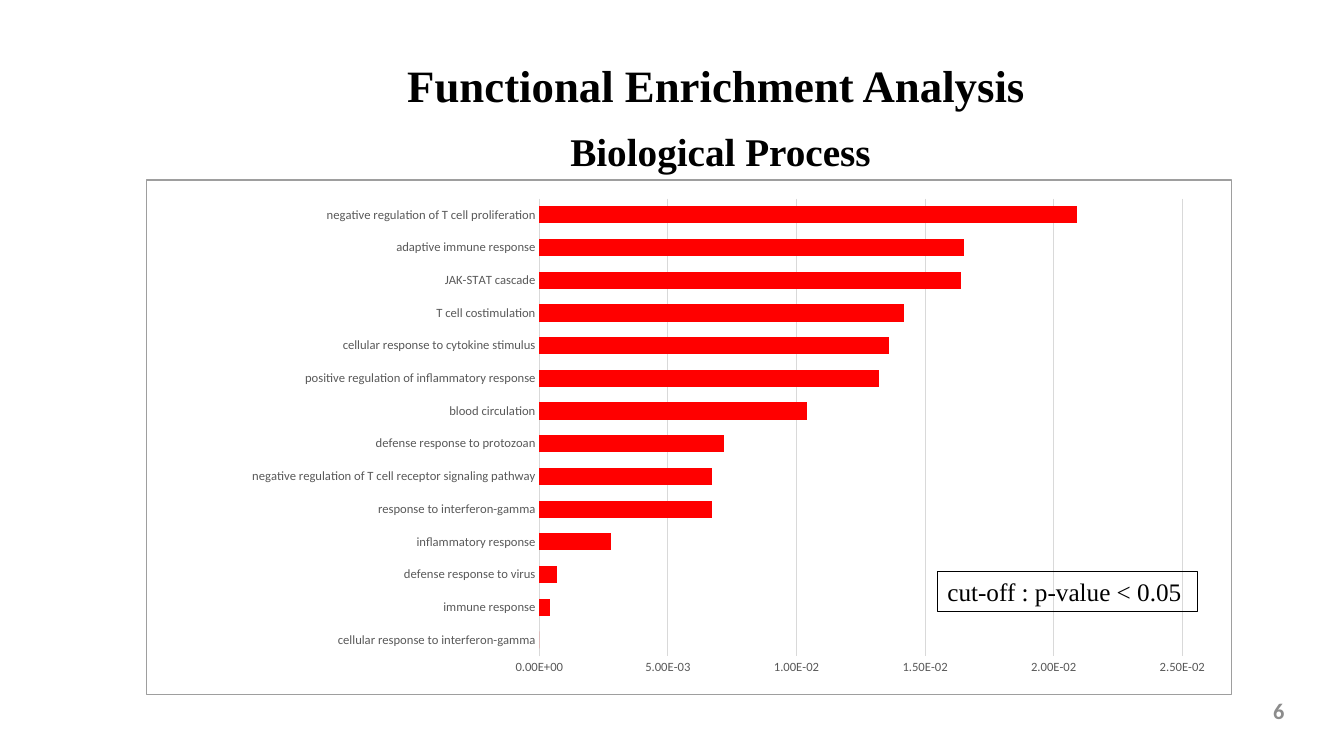
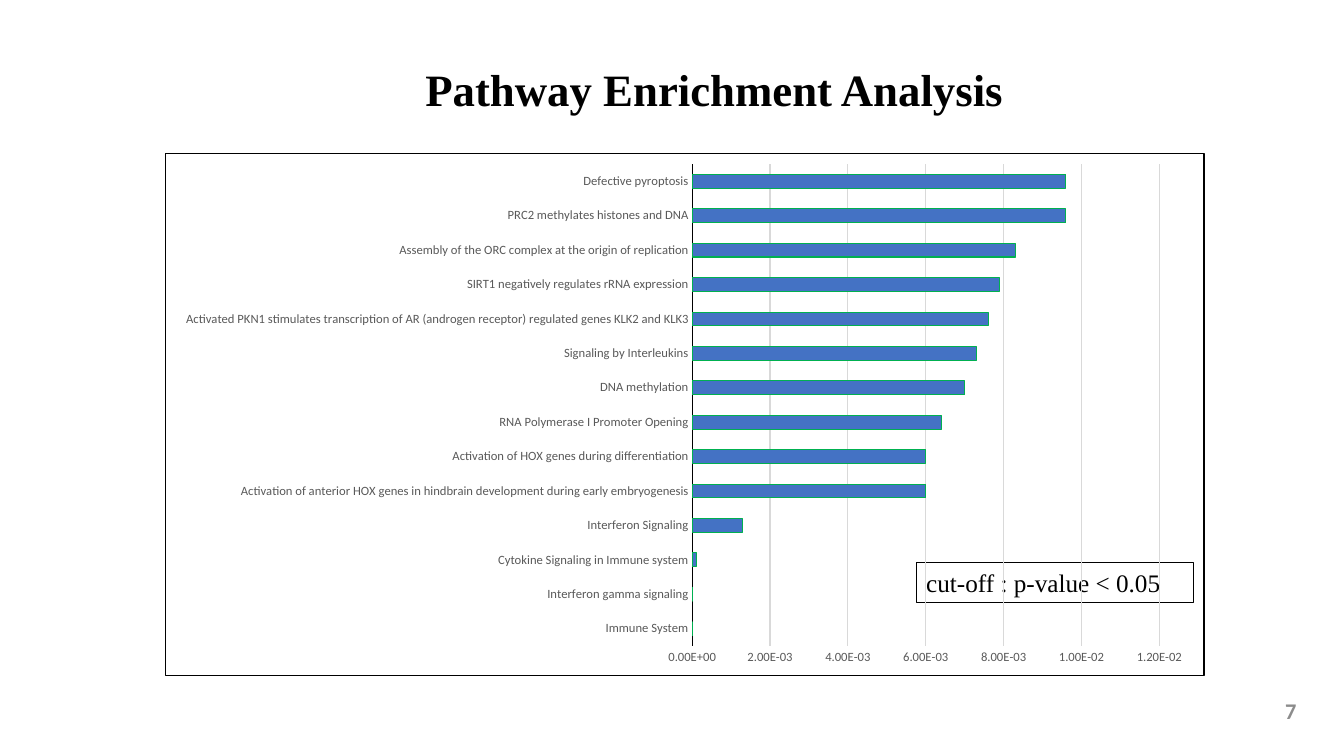
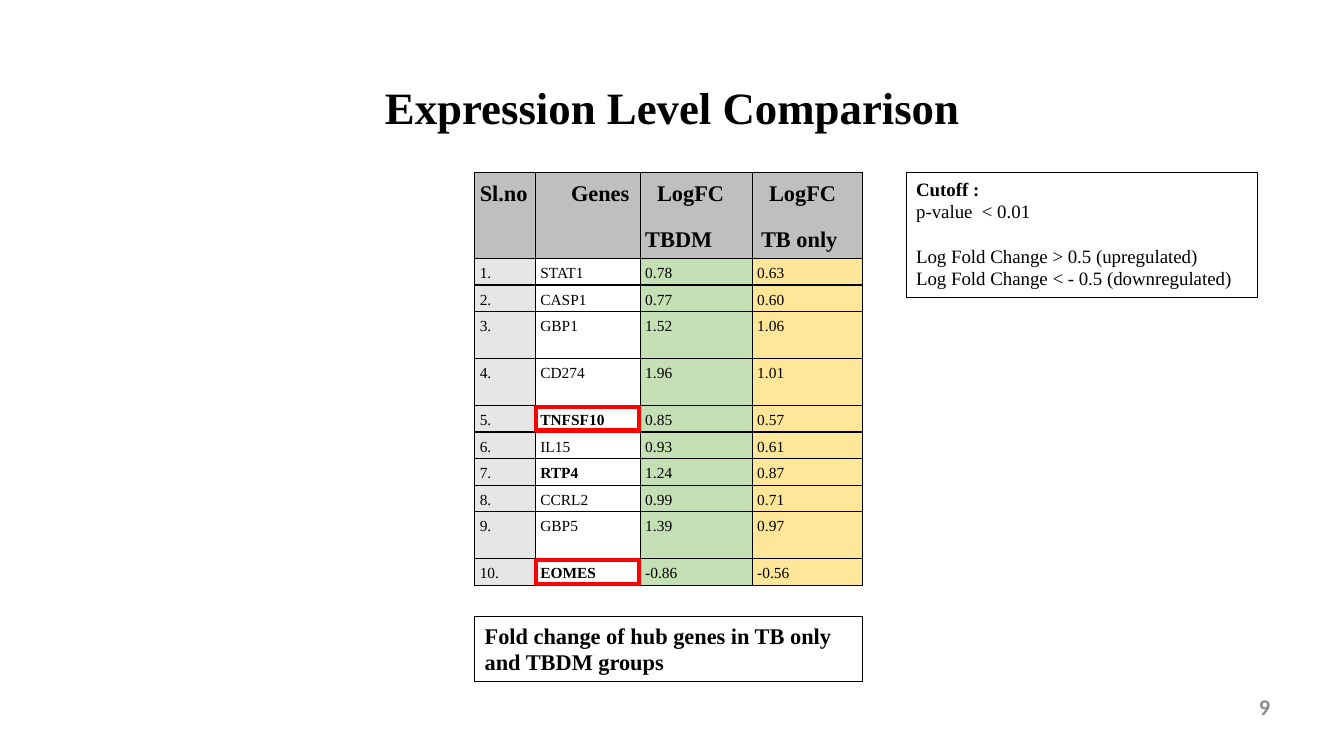
"""Build three slides on enrichment and expression results."""
import pptx
import pptx.chart.data
import pptx.dml.color
import pptx.enum.chart
import pptx.enum.shapes
import pptx.enum.text
import pptx.oxml
import pptx.oxml.ns
import pptx.util

Pt = pptx.util.Pt
ALIGN = pptx.enum.text.PP_ALIGN
ANCHOR = pptx.enum.text.MSO_ANCHOR
KIND = pptx.enum.chart.XL_CHART_TYPE
HUES = {
    "ink": "000000", "paper": "FFFFFF", "page": "8C8C8C", "label": "595959",
    "grid": "D9D9D9", "edge": "9E9E9E", "red": "FF0000", "blue": "4472C4",
    "leaf": "00B050", "head": "BFBFBF", "index": "E7E6E6",
    "green": "C5E0B4", "gold": "FFE699",
}
SERIF, SANS = "Times New Roman", "Calibri"
CUTOFF = "cut-off : p-value < 0.05"

PROCESS = [
    ("cellular response to interferon-gamma", 0),
    ("immune response", 0.0004),
    ("defense response to virus", 0.0007),
    ("inflammatory response", 0.0028),
    ("response to interferon-gamma", 0.0067),
    ("negative regulation of T cell receptor signaling pathway", 0.0067),
    ("defense response to protozoan", 0.0072),
    ("blood circulation", 0.0104),
    ("positive regulation of inflammatory response", 0.0132),
    ("cellular response to cytokine stimulus", 0.0136),
    ("T cell costimulation", 0.0142),
    ("JAK-STAT cascade", 0.0164),
    ("adaptive immune response", 0.0165),
    ("negative regulation of T cell proliferation", 0.0209),
]
PATHWAY = [
    ("Immune System", 0),
    ("Interferon gamma signaling", 0),
    ("Cytokine Signaling in Immune system", 0.0001),
    ("Interferon Signaling", 0.0013),
    ("Activation of anterior HOX genes in hindbrain development during early embryogenesis", 0.006),
    ("Activation of HOX genes during differentiation", 0.006),
    ("RNA Polymerase I Promoter Opening", 0.0064),
    ("DNA methylation", 0.007),
    ("Signaling by Interleukins", 0.0073),
    ("Activated PKN1 stimulates transcription of AR (androgen receptor) regulated genes KLK2 and KLK3", 0.0076),
    ("SIRT1 negatively regulates rRNA expression", 0.0079),
    ("Assembly of the ORC complex at the origin of replication", 0.0083),
    ("PRC2 methylates histones and DNA", 0.0096),
    ("Defective pyroptosis", 0.0096),
]
HEADS = [
    [("Sl.no", 0)],
    [("Genes", 22)],
    [("LogFC", 8.5), ("TBDM", 0)],
    [("LogFC", 8.5), ("TB only", 2.75)],
]
GENES = [
    ("STAT1", "0.78", "0.63"), ("CASP1", "0.77", "0.60"),
    ("GBP1", "1.52", "1.06"), ("CD274", "1.96", "1.01"),
    ("TNFSF10", "0.85", "0.57"), ("IL15", "0.93", "0.61"),
    ("RTP4", "1.24", "0.87"), ("CCRL2", "0.99", "0.71"),
    ("GBP5", "1.39", "0.97"), ("EOMES", "-0.86", "-0.56"),
]
BOLD = {"TNFSF10", "RTP4", "EOMES"}
BOXED = {"TNFSF10", "EOMES"}
TALL = {"GBP1", "CD274", "GBP5"}
RULES = [
    ("Cutoff :", True, 0),
    ("p-value  < 0.01", False, 0),
    ("Log Fold Change > 0.5 (upregulated)", False, 15.5),
    ("Log Fold Change < - 0.5 (downregulated)", False, 0),
]


def tint(name):
    return pptx.dml.color.RGBColor.from_string(HUES[name])


def style(font, size, hue="ink", bold=False, face=SERIF):
    font.size, font.bold, font.name = Pt(size), bold, face
    font.color.rgb = tint(hue)


def write(para, text, size, **look):
    run = para.add_run()
    run.text = text
    style(run.font, size, **look)


def stroke(line, hue, width=0.75):
    line.color.rgb = tint(hue)
    line.width = Pt(width)


def start(deck, title, area, page, spot):
    slide = deck.slides.add_slide(deck.slide_layouts[5])
    head = slide.shapes.title
    head.left, head.top, head.width, head.height = map(Pt, area)
    frame = head.text_frame
    frame.auto_size = pptx.enum.text.MSO_AUTO_SIZE.NONE
    frame.vertical_anchor = ANCHOR.MIDDLE
    para = frame.paragraphs[0]
    para.alignment = ALIGN.LEFT
    write(para, title, 32, bold=True)
    para = note(slide, spot, ANCHOR.MIDDLE).paragraphs[0]
    para.alignment = ALIGN.RIGHT
    write(para, page, 16, hue="page", bold=True, face=SANS)
    return slide


def note(slide, area, anchor=ANCHOR.TOP):
    frame = slide.shapes.add_textbox(*map(Pt, area)).text_frame
    frame.word_wrap = True
    frame.vertical_anchor = anchor
    return frame


def panel(slide, area, hue="ink", width=0.75):
    shape = slide.shapes.add_shape(
        pptx.enum.shapes.MSO_SHAPE.RECTANGLE, *map(Pt, area))
    shape.shadow.inherit = False
    shape.fill.background()
    stroke(shape.line, hue, width)
    frame = shape.text_frame
    frame.word_wrap = True
    frame.vertical_anchor = ANCHOR.TOP
    frame.paragraphs[0].alignment = ALIGN.LEFT
    return frame


def frame_chart(chart, hue, inner):
    space = pptx.oxml.ns.nsdecls("c", "a")
    border = pptx.oxml.parse_xml(
        f'<c:spPr {space}><a:noFill/><a:ln w="{Pt(0.75)}"><a:solidFill>'
        f'<a:srgbClr val="{HUES[hue]}"/></a:solidFill></a:ln></c:spPr>')
    chart.element.xpath("c:chart")[0].addnext(border)
    area = chart.element.xpath("c:chart/c:plotArea")[0]
    for old in area.xpath("c:layout"):
        area.remove(old)
    parts = "".join(f'<c:{tag}Mode val="edge"/>' for tag in "xy")
    parts += "".join(f'<c:{tag} val="{val}"/>' for tag, val in zip("xywh", inner))
    area.insert(0, pptx.oxml.parse_xml(
        f'<c:layout {space}><c:manualLayout><c:layoutTarget val="inner"/>'
        f'{parts}</c:manualLayout></c:layout>'))


def bars(slide, area, kind, rows, top, step, gap, lap, fill, axis, edge, inner):
    data = pptx.chart.data.CategoryChartData()
    data.categories = [name for name, _ in rows]
    data.add_series("Series 1", [val for _, val in rows])
    chart = slide.shapes.add_chart(kind, *map(Pt, area), data).chart
    chart.has_title = chart.has_legend = False
    style(chart.font, 10, face=SANS)
    plot = chart.plots[0]
    plot.gap_width, plot.overlap, plot.vary_by_categories = gap, lap, False
    series = plot.series[0]
    series.format.fill.solid()
    series.format.fill.fore_color.rgb = tint(fill)
    cats, vals = chart.category_axis, chart.value_axis
    for each in (cats, vals):
        each.major_tick_mark = pptx.enum.chart.XL_TICK_MARK.NONE
        style(each.tick_labels.font, 9, hue="label", face=SANS)
    stroke(cats.format.line, axis)
    vals.format.line.fill.background()
    vals.minimum_scale, vals.maximum_scale, vals.major_unit = 0, top, step
    vals.tick_labels.number_format = "0.00E+00"
    vals.tick_labels.number_format_is_linked = False
    stroke(vals.major_gridlines.format.line, "grid")
    frame_chart(chart, edge, inner)
    return series


def cell_style(cell, hue):
    cell.fill.solid()
    cell.fill.fore_color.rgb = tint(hue)
    cell.margin_left = cell.margin_right = Pt(3.6)
    cell.margin_top = cell.margin_bottom = 0
    props = cell._tc.get_or_add_tcPr()
    for spot, side in enumerate("LRTB"):
        props.insert(spot, pptx.oxml.parse_xml(
            f'<a:ln{side} {pptx.oxml.ns.nsdecls("a")} w="{Pt(1)}"><a:solidFill>'
            f'<a:srgbClr val="{HUES["ink"]}"/></a:solidFill></a:ln{side}>'))


def cell_text(cell, lines, size, bold):
    frame = cell.text_frame
    for spot, (text, indent) in enumerate(lines):
        para = frame.add_paragraph() if spot else frame.paragraphs[0]
        para.line_spacing, para.space_after = 1.38, Pt(8)
        if indent:
            para._p.get_or_add_pPr().set("marL", str(Pt(indent)))
        write(para, text, size, bold=bold)


def gene_table(slide, left, top):
    wide = [43.2, 75, 80, 79]
    high = [61.5] + [33.5 if row[0] in TALL else 19 for row in GENES]
    table = slide.shapes.add_table(
        len(high), len(wide), *map(Pt, (left, top, sum(wide), sum(high)))).table
    table.first_row = table.horz_banding = False
    for col, width in zip(table.columns, wide):
        col.width = Pt(width)
    for row, height in zip(table.rows, high):
        row.height = Pt(height)
    for col, lines in enumerate(HEADS):
        cell_style(table.cell(0, col), "head")
        cell_text(table.cell(0, col), lines, 16, True)
    for row, gene in enumerate(GENES, 1):
        fills = ("index", "paper", "green", "gold")
        for col, (text, hue) in enumerate(zip((f"{row}.", *gene), fills)):
            cell_style(table.cell(row, col), hue)
            cell_text(table.cell(row, col), [(text, 0)], 11, text in BOLD)
        if gene[0] in BOXED:
            panel(slide, (left + wide[0] + 0.75, top + sum(high[:row]) + 1,
                          wide[1] - 1.5, high[row] - 2), "red", 3)


def main():
    deck = pptx.Presentation()
    deck.slide_width, deck.slide_height = Pt(960), Pt(540)

    slide = start(deck, "Functional Enrichment Analysis", (283.7, 37.7, 468, 46),
                  "6", (762.5, 496.8, 162, 21.6))
    bars(slide, (104.4, 128.2, 775.4, 368.6), KIND.BAR_CLUSTERED, PROCESS,
         0.025, 0.005, 90, 13, "red", "grid", "edge", (0.362, 0.036, 0.593, 0.889))
    write(panel(slide, (669.6, 408.2, 185.8, 28.8)).paragraphs[0], CUTOFF, 18)
    write(note(slide, (400.3, 87.4, 247.7, 41)).paragraphs[0],
          "Biological Process", 28, bold=True)

    slide = start(deck, "Pathway Enrichment Analysis", (296.6, 23.8, 465.8, 78.5),
                  "7", (771.1, 496.8, 162, 21.6))
    write(panel(slide, (654.5, 401.8, 198, 28.8)).paragraphs[0], CUTOFF, 18)
    series = bars(slide, (118.1, 109.4, 742.3, 373.7), KIND.BAR_STACKED, PATHWAY,
                  0.012, 0.002, 150, 100, "blue", "ink", "ink",
                  (0.507, 0.02, 0.45, 0.923))
    stroke(series.format.line, "leaf")

    slide = start(deck, "Expression Level Comparison", (267.8, 53.3, 441.4, 46),
                  "9", (698.4, 490.3, 216, 28.8))
    gene_table(slide, 339.1, 123.1)
    write(panel(slide, (339.1, 440.6, 277.2, 46.1)).paragraphs[0],
          "Fold change of hub genes in TB only and TBDM groups", 16, bold=True)
    frame = panel(slide, (647.3, 123.1, 251.3, 89.3))
    for spot, (text, bold, before) in enumerate(RULES):
        para = frame.add_paragraph() if spot else frame.paragraphs[0]
        para.alignment = ALIGN.LEFT
        if before:
            para.space_before = Pt(before)
        write(para, text, 13.5, bold=bold)

    deck.save("out.pptx")


if __name__ == "__main__":
    main()
